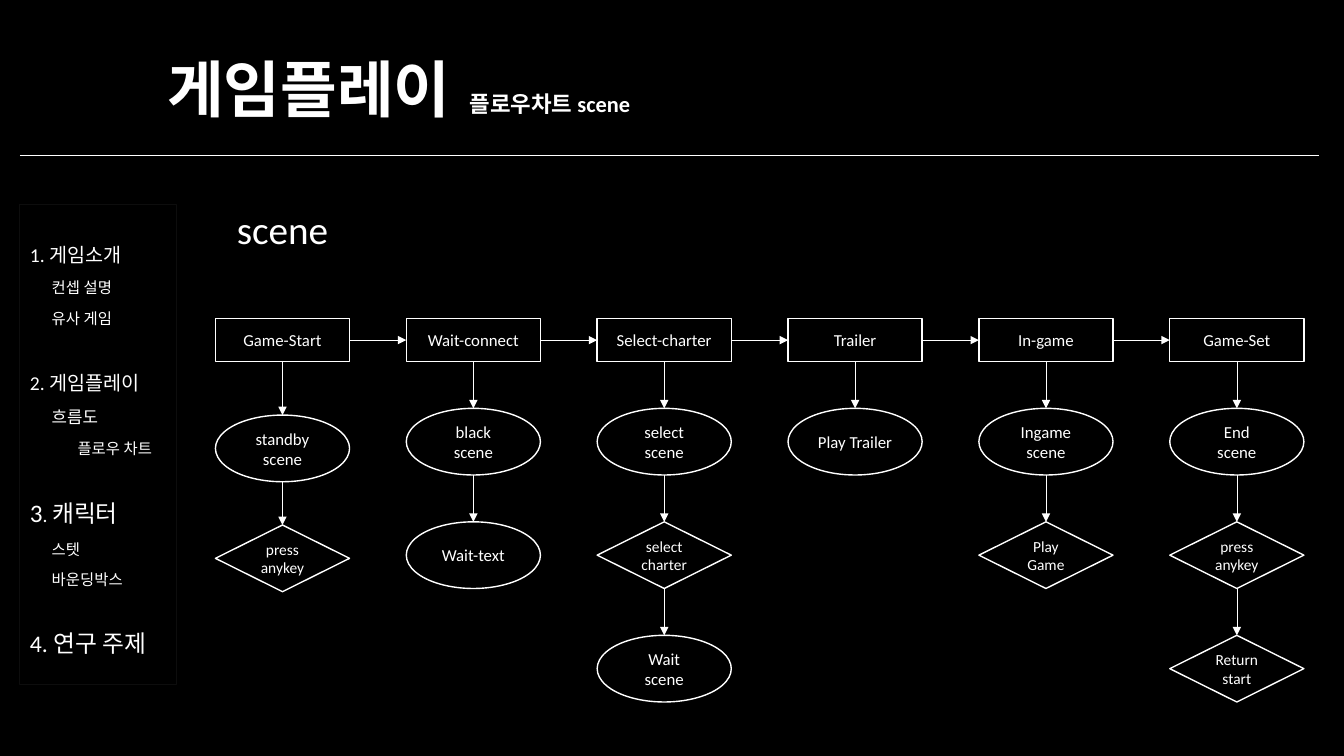
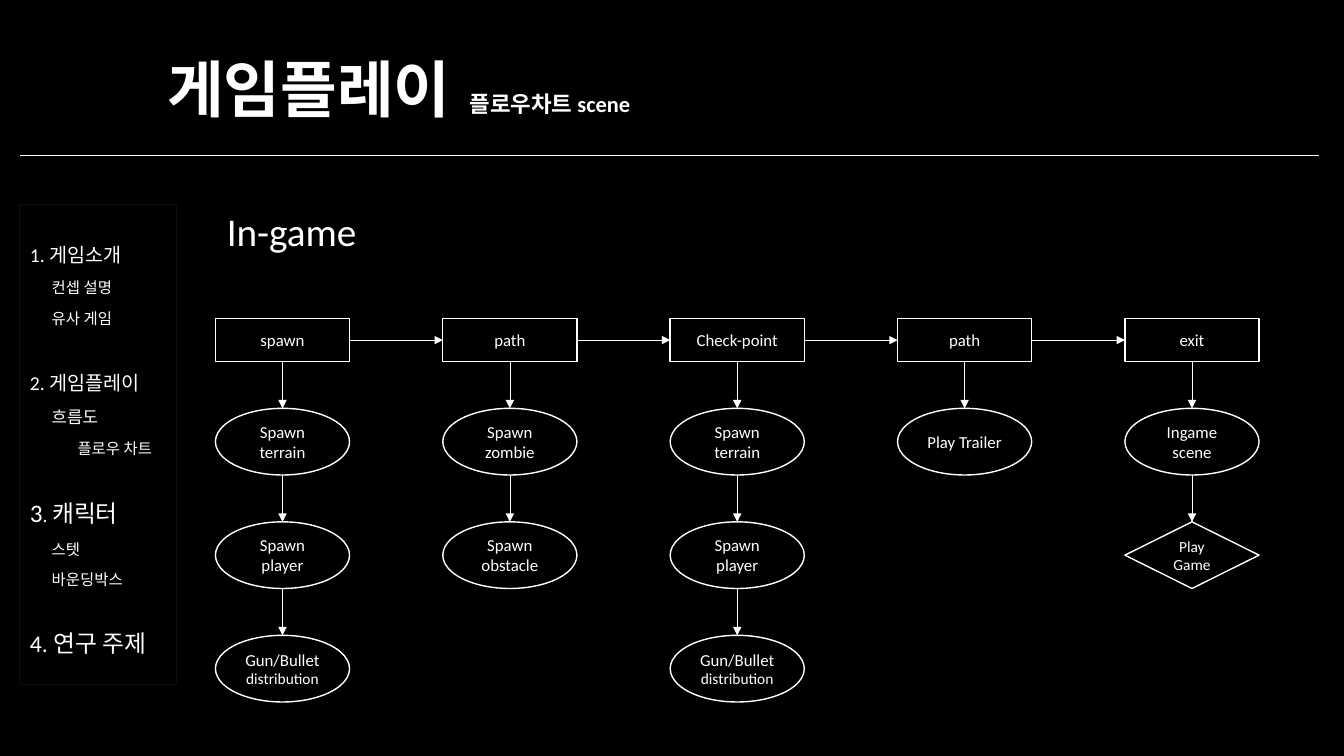
from lxml.etree import SubElement
from pptx import Presentation
from pptx.dml.color import RGBColor
from pptx.enum.shapes import MSO_CONNECTOR, MSO_SHAPE
from pptx.enum.text import MSO_ANCHOR, MSO_AUTO_SIZE, PP_ALIGN
from pptx.oxml.ns import qn
from pptx.util import Cm, Pt

COLORS = {"background": "000000", "ink": "FFFFFF", "frame": "0D0D0D"}
FONT = "Calibri"
SLIDE_SIZE = (33.87, 19.05)

TITLE_BOX = (3.96, 0.48, 25.96, 3.68)
TITLE_RUNS = [("게임플레이\t", 44), ("플로우차트 scene", 16)]
RULE = (0.5, 3.92, 33.25, 3.92)

OUTLINE_BOX = (0.5, 5.16, 3.96, 12.09)
OUTLINE_INDENTS = (0, 0.55, 1.2)
OUTLINE = [
    (0, 0, [("1. 게임소개", 14)]),
    (1, 10, [("컨셉 설명", 11)]),
    (1, 10, [("유사 게임", 11)]),
    (0, 33, [("2. 게임플레이", 14)]),
    (1, 10, [("흐름도", 12)]),
    (2, 10, [("플로우 차트", 11)]),
    (0, 30.5, [("3", 18), (". ", 14), ("캐릭터", 17)]),
    (1, 10, [("스텟", 11)]),
    (1, 10, [("바운딩박스", 11)]),
    (0, 30.5, [("4. 연구 주제", 17)]),
]

CHART_ORIGIN = (5.43, 8.03)
NODE_WIDTH, STAGE_HEIGHT, STEP_HEIGHT = 3.38, 1.08, 1.68
STEP_ROWS = (2.26, 2.86)
FIRST_STAGE_ROWS = (2.43, 2.77)
NODE_SIZES = {MSO_SHAPE.RECTANGLE: 12, MSO_SHAPE.OVAL: 12, MSO_SHAPE.DIAMOND: 11}
SMALL_LINES = {"distribution": 11}
OVAL, DIAMOND = MSO_SHAPE.OVAL, MSO_SHAPE.DIAMOND

SCENES = [
    ("Game-Start", FIRST_STAGE_ROWS,
     [(OVAL, "standby\nscene"), (DIAMOND, "press\nanykey")]),
    ("Wait-connect", STEP_ROWS, [(OVAL, "black\nscene"), (OVAL, "Wait-text")]),
    ("Select-charter", STEP_ROWS,
     [(OVAL, "select\nscene"), (DIAMOND, "select\ncharter"), (OVAL, "Wait\nscene")]),
    ("Trailer", STEP_ROWS, [(OVAL, "Play Trailer")]),
    ("In-game", STEP_ROWS, [(OVAL, "Ingame\nscene"), (DIAMOND, "Play\nGame")]),
    ("Game-Set", STEP_ROWS,
     [(OVAL, "End\nscene"), (DIAMOND, "press\nanykey"), (DIAMOND, "Return\nstart")]),
]
SPAWN_STEPS = [(OVAL, "Spawn\nterrain"), (OVAL, "Spawn\nplayer"),
               (OVAL, "Gun/Bullet\ndistribution")]
IN_GAME = [
    ("spawn", STEP_ROWS, SPAWN_STEPS),
    ("path", STEP_ROWS, [(OVAL, "Spawn\nzombie"), (OVAL, "Spawn\nobstacle")]),
    ("Check-point", STEP_ROWS, SPAWN_STEPS),
    ("path", STEP_ROWS, [(OVAL, "Play Trailer")]),
    ("exit", STEP_ROWS, [(OVAL, "Ingame\nscene"), (DIAMOND, "Play\nGame")]),
]
SLIDES = [
    ("scene", (5.43, 5.23, 3.38, 1.08), SCENES, 4.81),
    ("In-game", (4.95, 5.28, 4.8, 1.08), IN_GAME, 5.73),
]


def color(role):
    """Return the colour for a role."""
    return RGBColor.from_string(COLORS[role])


def apply(target, **values):
    """Set each given attribute on the target."""
    for attribute, value in values.items():
        setattr(target, attribute, value)


def place(region, box):
    """Move a shape to a box given in centimetres."""
    left, top, width, height = map(Cm, box)
    apply(region, left=left, top=top, width=width, height=height)


def write(paragraph, runs, bold=False):
    """Add runs of text and size to a paragraph."""
    for text, size in runs:
        run = paragraph.add_run()
        run.text = text
        apply(run.font, name=FONT, size=Pt(size), bold=bold)
        run.font.color.rgb = color("ink")


def write_centred(frame, text, size):
    """Write centred lines in the middle of a frame without insets."""
    apply(frame, word_wrap=True, vertical_anchor=MSO_ANCHOR.MIDDLE,
          margin_left=0, margin_right=0, margin_top=0, margin_bottom=0)
    for index, line in enumerate(text.split("\n")):
        paragraph = frame.add_paragraph() if index else frame.paragraphs[0]
        paragraph.alignment = PP_ALIGN.CENTER
        write(paragraph, [(line, SMALL_LINES.get(line, size))])


def add_line(slide, ends, arrow=False):
    """Draw a thin straight line, with an arrowhead at its end if asked."""
    line = slide.shapes.add_connector(MSO_CONNECTOR.STRAIGHT, *map(Cm, ends))
    line.line.width = Pt(0.5)
    line.line.color.rgb = color("ink")
    properties = line.element.spPr
    if arrow:
        SubElement(properties.find(qn("a:ln")), qn("a:tailEnd"), type="triangle")
    SubElement(properties, qn("a:effectLst"))


def add_header(slide, box):
    """Fill the title and draw the rule under it."""
    title = slide.shapes.title
    place(title, box)
    apply(title.text_frame, auto_size=MSO_AUTO_SIZE.NONE, word_wrap=True,
          vertical_anchor=MSO_ANCHOR.MIDDLE)
    heading = title.text_frame.paragraphs[0]
    apply(heading, alignment=PP_ALIGN.LEFT, line_spacing=0.9)
    write(heading, TITLE_RUNS, bold=True)
    add_line(slide, RULE)


def add_outline(slide, box):
    """Fill the body placeholder with the framed outline."""
    outline = slide.placeholders[1]
    place(outline, box)
    outline.line.color.rgb = color("frame")
    outline.line.width = Pt(0.75)
    frame = outline.text_frame
    apply(frame, auto_size=MSO_AUTO_SIZE.NONE, word_wrap=True,
          vertical_anchor=MSO_ANCHOR.TOP, margin_top=Cm(1.02))
    for index, (level, gap, runs) in enumerate(OUTLINE):
        entry = frame.add_paragraph() if index else frame.paragraphs[0]
        properties = entry._p.get_or_add_pPr()
        properties.set("marL", str(Cm(OUTLINE_INDENTS[level])))
        properties.set("indent", "0")
        SubElement(properties, qn("a:buNone"))
        apply(entry, level=level, alignment=PP_ALIGN.LEFT, line_spacing=0.9,
              space_before=Pt(gap))
        write(entry, runs)


def add_subject(slide, text, box):
    """Write the name of the chart above it."""
    subject = slide.shapes.add_textbox(*map(Cm, box))
    write_centred(subject.text_frame, text, 28)


def add_node(slide, kind, text, box):
    """Draw one outlined node with its label."""
    node = slide.shapes.add_shape(kind, *map(Cm, box))
    node.shadow.inherit = False
    node.fill.background()
    node.line.color.rgb = color("ink")
    node.line.width = Pt(1)
    write_centred(node.text_frame, text, NODE_SIZES[kind])


def add_stage(slide, left, top, name, rows, steps):
    """Draw a stage and the steps that hang below it."""
    add_node(slide, MSO_SHAPE.RECTANGLE, name, (left, top, NODE_WIDTH, STAGE_HEIGHT))
    center, bottom = left + NODE_WIDTH / 2, top + STAGE_HEIGHT
    offset, pitch = rows
    for index, (kind, text) in enumerate(steps):
        step_top = top + offset + index * pitch
        add_line(slide, (center, bottom, center, step_top), arrow=True)
        add_node(slide, kind, text, (left, step_top, NODE_WIDTH, STEP_HEIGHT))
        bottom = step_top + STEP_HEIGHT


def add_flowchart(slide, origin, stages, pitch):
    """Draw the stages at equal pitch, joined by arrows."""
    left, top = origin
    middle = top + STAGE_HEIGHT / 2
    for index, (name, rows, steps) in enumerate(stages):
        stage_left = left + index * pitch
        add_stage(slide, stage_left, top, name, rows, steps)
        if index:
            previous_right = stage_left - pitch + NODE_WIDTH
            add_line(slide, (previous_right, middle, stage_left, middle), arrow=True)


def main():
    """Build the deck and save it."""
    deck = Presentation()
    deck.slide_width, deck.slide_height = map(Cm, SLIDE_SIZE)
    backdrop = deck.slide_master.background.fill
    backdrop.solid()
    backdrop.fore_color.rgb = color("background")
    for subject, subject_box, stages, pitch in SLIDES:
        slide = deck.slides.add_slide(deck.slide_layouts[1])
        add_outline(slide, OUTLINE_BOX)
        add_header(slide, TITLE_BOX)
        add_subject(slide, subject, subject_box)
        add_flowchart(slide, CHART_ORIGIN, stages, pitch)
    deck.save("out.pptx")


if __name__ == "__main__":
    main()
